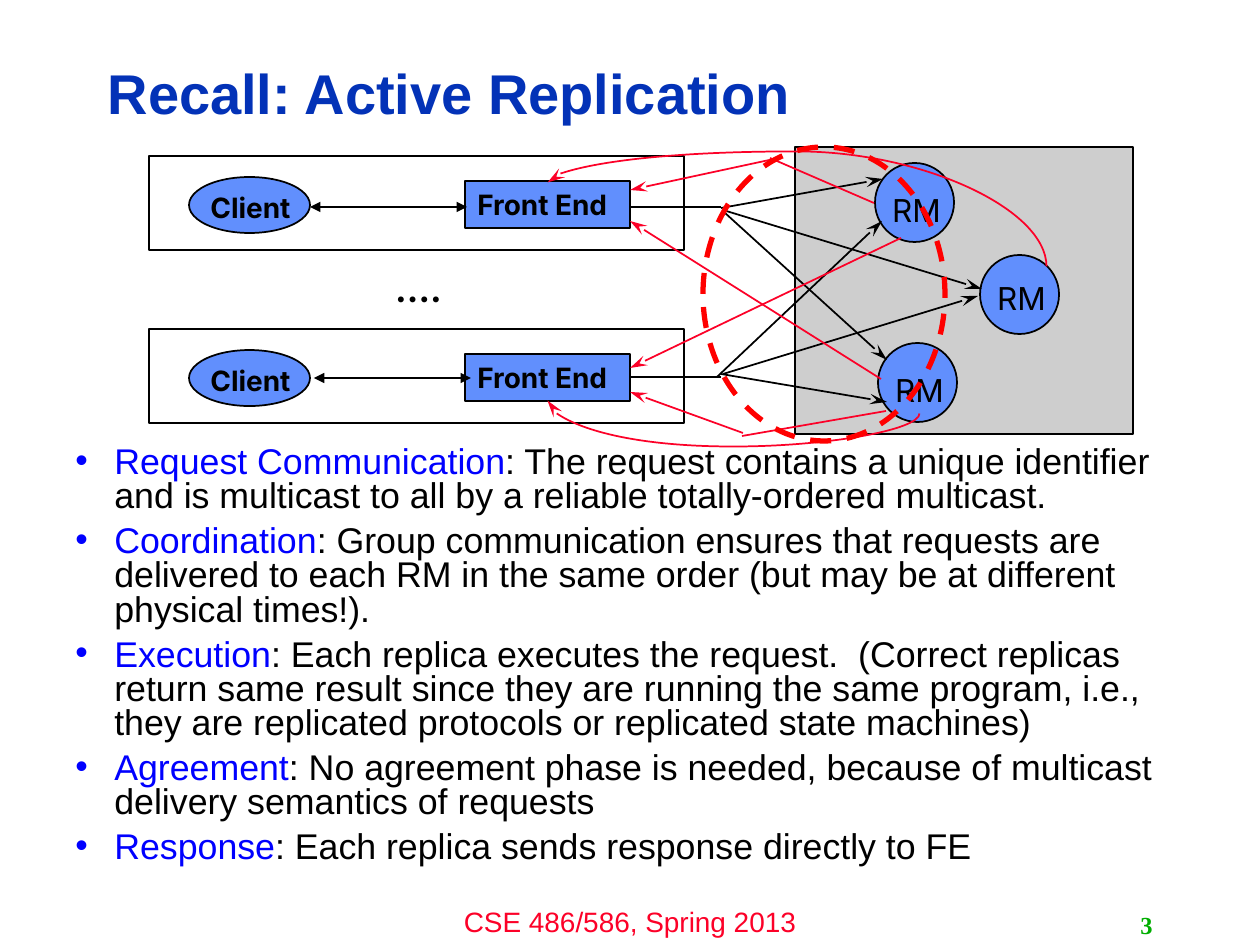
from lxml import etree
from pptx import Presentation
from pptx import util as u
from pptx.dml.color import RGBColor
from pptx.enum import dml, shapes, text
from pptx.oxml.ns import qn

SCALE = 914400 / 126
BLACK, RED, BLUE, FILL = "000000", "FC0128", "0000FF", "618FFD"
LEFT, CENTER, RIGHT = text.PP_ALIGN.LEFT, text.PP_ALIGN.CENTER, text.PP_ALIGN.RIGHT
RECT, OVAL = shapes.MSO_SHAPE.RECTANGLE, shapes.MSO_SHAPE.OVAL
TOP, MIDDLE = text.MSO_ANCHOR.TOP, text.MSO_ANCHOR.MIDDLE


def px(v):
    return u.Emu(round(v * SCALE))


def rgb(h):
    return RGBColor.from_string(h)


class Deck:
    label_font = "Inter"
    body_font = "Arial"

    def __init__(self, prs):
        self.s = prs.slides.add_slide(prs.slide_layouts[5])

    def run(self, p, words, size, color=BLACK, bold=False, font=None):
        r = p.add_run()
        r.text = words
        f = r.font
        f.name, f.size, f.bold = font or self.label_font, u.Pt(size), bold
        f.color.rgb = rgb(color)

    def title(self, x, y, w, h, words):
        sp = self.s.shapes.title
        sp.left, sp.top, sp.width, sp.height = map(px, (x, y, w, h))
        sp.text_frame.vertical_anchor = MIDDLE
        p = sp.text_frame.paragraphs[0]
        p.alignment, p.line_spacing = LEFT, 0.9
        self.run(p, words, 32, "0332B7", True, self.body_font)

    def shape(self, kind, x, y, w, h, fill=None, line=BLACK, width=1, dash=False):
        sp = self.s.shapes.add_shape(kind, *map(px, (x, y, w, h)))
        sp.shadow.inherit = False
        if fill:
            sp.fill.solid()
            sp.fill.fore_color.rgb = rgb(fill)
        else:
            sp.fill.background()
        sp.line.color.rgb = rgb(line)
        sp.line.width = u.Pt(width)
        if dash:
            sp.line.dash_style = dml.MSO_LINE.DASH
        return sp

    def caption(self, sp, words, size, color=BLACK, bold=False, font=None,
                align=CENTER, anchor=TOP):
        tf = sp.text_frame
        tf.word_wrap, tf.vertical_anchor = True, anchor
        p = tf.paragraphs[0]
        p.alignment = align
        self.run(p, words, size, color, bold, font)

    def box(self, x, y, w, h):
        return self.s.shapes.add_textbox(*map(px, (x, y, w, h)))

    def label(self, x, y, w, h, *args, **style):
        self.caption(self.box(x, y, w, h), *args, **style)

    def bullets(self, x, y, w, h, items, size):
        tf = self.box(x, y, w, h).text_frame
        tf.word_wrap = True
        for i, (term, rest) in enumerate(items):
            p = tf.add_paragraph() if i else tf.paragraphs[0]
            p.line_spacing, p.space_before = 0.8, u.Pt(6)
            pPr = p._p.get_or_add_pPr()
            pPr.set("marL", str(px(39)))
            pPr.set("indent", str(-px(39)))
            etree.SubElement(pPr, qn("a:buFont")).set("typeface", self.body_font)
            etree.SubElement(pPr, qn("a:buChar")).set("char", "•")
            self.run(p, term, size, BLUE, font=self.body_font)
            self.run(p, rest, size, font=self.body_font)

    def line(self, x1, y1, x2, y2, color=BLACK, head=None, tail=None,
             kind=shapes.MSO_CONNECTOR.STRAIGHT):
        c = self.s.shapes.add_connector(kind, *map(px, (x1, y1, x2, y2)))
        c.line.color.rgb = rgb(color)
        c.line.width = u.Pt(1)
        ln = c.line._get_or_add_ln()
        for tag, end in (("a:headEnd", head), ("a:tailEnd", tail)):
            if end:
                e = etree.SubElement(ln, qn(tag))
                e.set("type", end)
                e.set("w", "med")
                e.set("len", "lg" if end == "stealth" else "med")
        etree.SubElement(c._element.spPr, qn("a:effectLst"))
        return c

    def curve(self, x, y, w, h, turn, flip, bend, color):
        c = self.line(x, y, x + w, y + h, color, tail="stealth",
                      kind=shapes.MSO_CONNECTOR.CURVE)
        spPr = c._element.spPr
        xfrm = spPr.find(qn("a:xfrm"))
        xfrm.set("rot", str(turn * 60000))
        xfrm.set(flip, "1")
        geom = spPr.find(qn("a:prstGeom"))
        av = geom.find(qn("a:avLst"))
        if av is None:
            av = etree.SubElement(geom, qn("a:avLst"))
        gd = etree.SubElement(av, qn("a:gd"))
        gd.set("name", "adj1")
        gd.set("fmla", f"val {round(bend * 100000)}")


prs = Presentation()
prs.slide_width, prs.slide_height = px(1260), px(945)
d = Deck(prs)

d.label(420, 898, 420, 47, "CSE 486/586, Spring 2013", 16, RED, font="Arial")
d.title(95, 45, 1005, 102, "Recall: Active Replication")
d.label(903, 905, 262, 40, "3", 14, "00AE00", True, "Times New Roman",
        align=RIGHT, anchor=MIDDLE)
d.bullets(63, 441, 1134, 441, [
    ("Request Communication", ": The request contains a unique identifier and is "
     "multicast to all by a reliable totally-ordered multicast."),
    ("Coordination", ": Group communication ensures that requests are delivered to "
     "each RM in the same order (but may be at different physical times!)."),
    ("Execution", ": Each replica executes the request.  (Correct replicas return "
     "same result since they are running the same program, i.e., they are "
     "replicated protocols or replicated state machines)"),
    ("Agreement", ": No agreement phase is needed, because of multicast delivery "
     "semantics of requests"),
    ("Response", ": Each replica sends response directly to FE"),
], 20.4)

d.shape(RECT, 795, 147, 338, 287, "CECECE")
for y in (156, 329):
    d.shape(RECT, 149, y, 535, 94)
    d.shape(OVAL, 189, y + 21, 121, 56, FILL)
    d.label(190, y + 28, 121, 47, "Client", 16, bold=True)
    front_end = d.shape(RECT, 465, y + 25, 165, 47, FILL)
    d.caption(front_end, "Front End", 16, bold=True, align=LEFT)
for x, y, dy in ((980, 255, 18), (875, 163, 22), (878, 343, 22)):
    d.shape(OVAL, x, y, 79, 79, FILL)
    d.label(x - 5, y + dy, 93, 47, "RM", 18)
d.label(328, 261, 181, 55, "….", 20, bold=True)

for x, y in ((310, 207), (314, 378)):
    d.line(x, y, x + 157, y, head="triangle", tail="triangle")
for y in (207, 377):
    d.line(631, y, 721, y)
for ends in ((721, 208, 883, 179), (723, 210, 982, 289), (725, 213, 887, 360),
             (717, 377, 882, 221), (721, 374, 887, 402), (723, 374, 978, 296)):
    d.line(*ends, tail="stealth")
for ends in ((874, 203, 770, 158), (886, 411, 742, 436)):
    d.line(*ends, RED)
for ends in ((774, 159, 630, 190), (881, 379, 630, 221),
             (743, 433, 630, 392), (901, 238, 630, 368)):
    d.line(*ends, RED, tail="stealth")
d.curve(755, -25, 84, 499, 270, "flipV", 1.37, RED)
d.curve(727, 221, 13, 372, 90, "flipH", -2.54, RED)
d.shape(OVAL, 703, 147, 242, 294, line="FF0000", width=3, dash=True)

prs.save("out.pptx")
